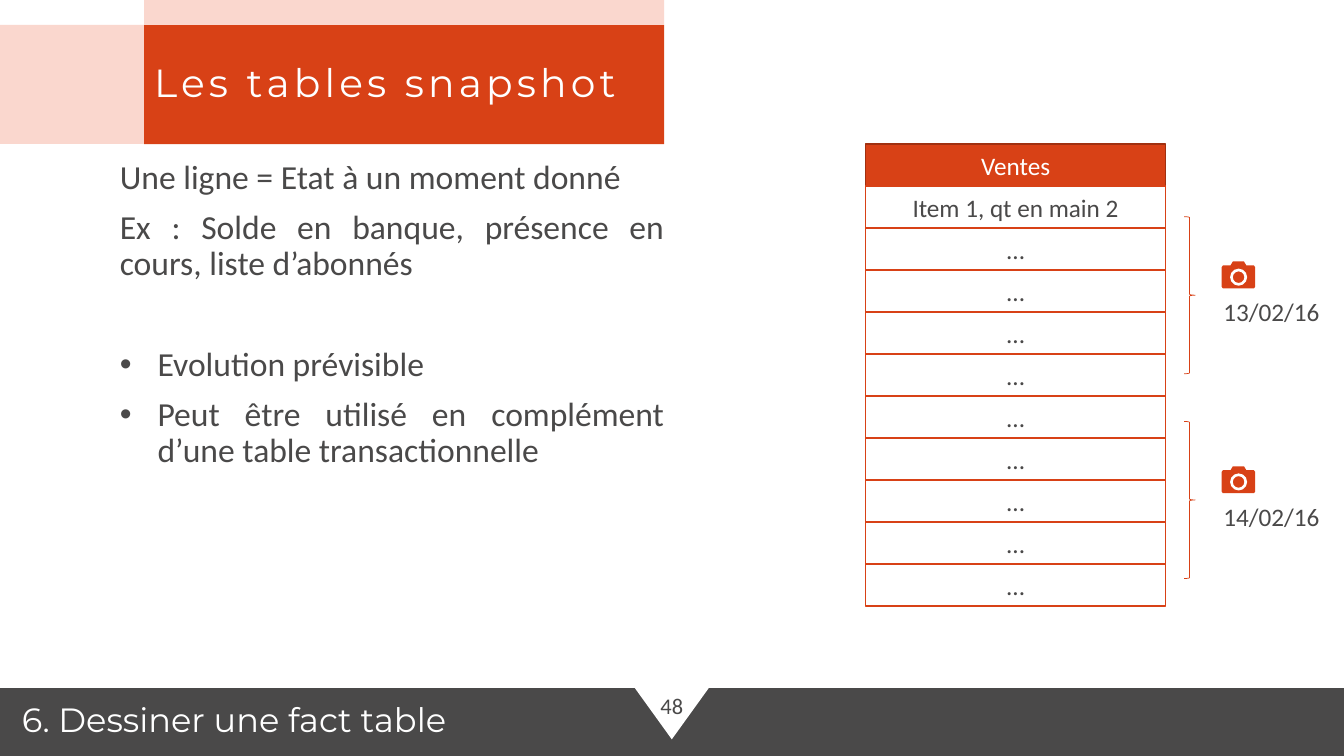
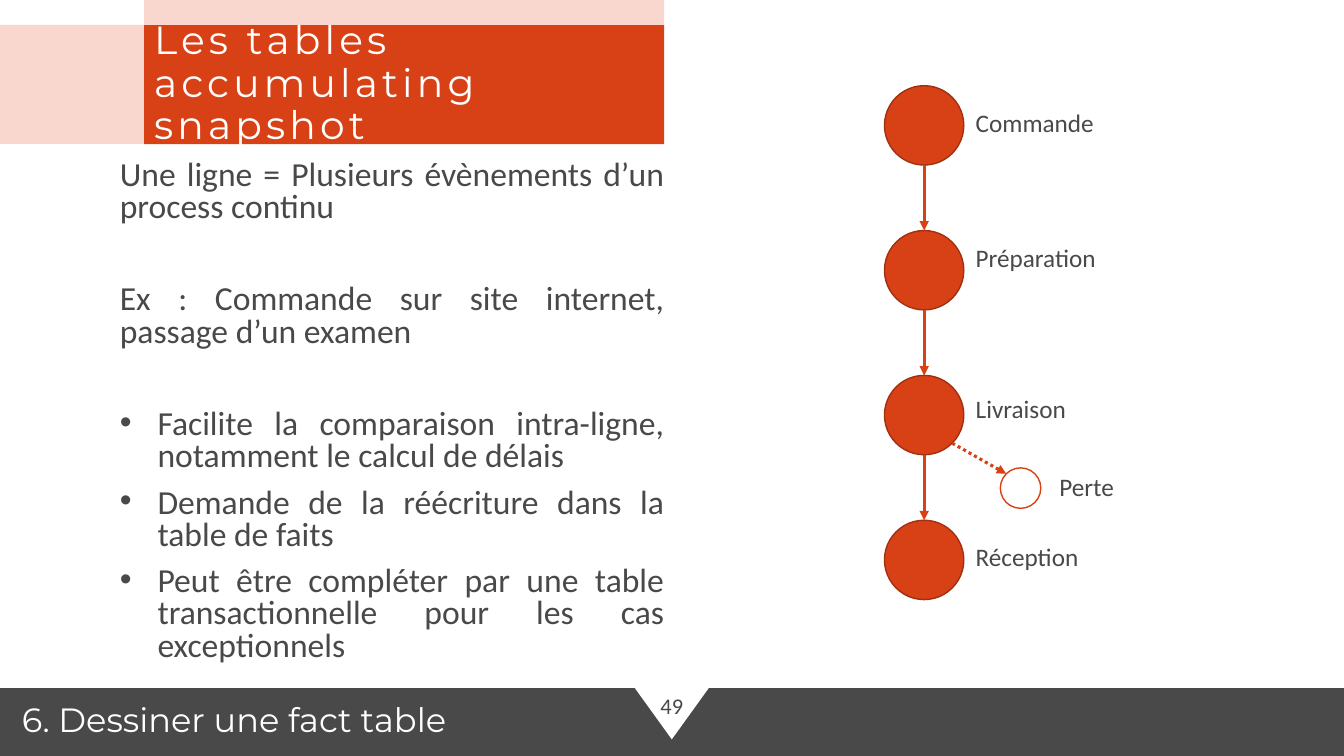
from dataclasses import dataclass
from math import sqrt

from lxml import etree
from pptx import Presentation
from pptx.dml.color import RGBColor
from pptx.enum import dml, shapes, text
from pptx.oxml import ns
from pptx.util import Cm, Pt

SHAPE = shapes.MSO_SHAPE
ALIGN = text.PP_ALIGN
MIDDLE = text.MSO_ANCHOR.MIDDLE


@dataclass(frozen=True)
class Theme:
    accent: str = "D84116"
    edge: str = "A03010"
    pale: str = "FAD7CE"
    dark: str = "4A4949"
    white: str = "FFFFFF"
    head: str = "Montserrat"
    font: str = "Calibri"
    title: int = 28
    body: int = 24
    label: int = 18
    page: int = 16


T = Theme()


def rgb(code):
    return RGBColor.from_string(code)


def sub(node, tag, **attrs):
    """Append a drawing element such as 'a:tailEnd' with its attributes."""
    return etree.SubElement(node, ns.qn(tag), {k: str(v) for k, v in attrs.items()})


def put(para, words, size=T.label, color=T.dark, font=T.font, align=ALIGN.LEFT,
        line=1.0, before=0, indent=0.0, bullet=False, track=0):
    """Write one formatted paragraph; indent is in cm, track in points."""
    props = para._p.get_or_add_pPr()
    props.set("marL", str(Cm(indent)))
    props.set("indent", str(-Cm(indent) if bullet else 0))
    para.alignment = align
    para.line_spacing = line
    para.space_before = Pt(before)
    if bullet:
        sub(props, "a:buFont", typeface="Arial")
        sub(props, "a:buChar", char="•")
    else:
        sub(props, "a:buNone")
    run = para.add_run()
    run.text = words
    run.font.size = Pt(size)
    run.font.name = font
    run.font.color.rgb = rgb(color)
    if track:
        run._r.get_or_add_rPr().set("spc", str(track * 100))


class Deck:
    def __init__(self, theme):
        self.theme = theme
        self.prs = Presentation()
        self.prs.slide_width, self.prs.slide_height = Cm(33.87), Cm(19.05)
        self.slide = None

    def start(self, title, page):
        """Open a slide with the title, bands and footer that all slides share."""
        t = self.theme
        self.slide = self.prs.slides.add_slide(self.prs.slide_layouts[1])
        head = self.slide.shapes.title
        head.fill.solid()
        head.fill.fore_color.rgb = rgb(t.accent)
        frame = self.place(head, 3.63, 0.63, 13.11, 3)
        frame.vertical_anchor = MIDDLE
        put(frame.paragraphs[0], title, size=t.title, color=t.white,
            font=t.head, line=0.9, track=3)
        self.shape(SHAPE.RECTANGLE, 0, 0.63, 3.63, 3, t.pale)
        self.shape(SHAPE.RECTANGLE, 3.63, 0, 13.11, 0.63, t.pale)
        self.shape(SHAPE.RECTANGLE, 0, 17.34, 33.87, 1.71, t.dark)
        notch = self.shape(SHAPE.ISOSCELES_TRIANGLE, 16, 17.34, 1.86, 1.29, t.white)
        notch.rotation = 180
        self.label(str(page), 13.79, 17.35, 6.28, 0.87, size=t.page, align=ALIGN.CENTER)
        self.label("6. Dessiner une fact table", 0, 17.32, 16.74, 1.73, size=t.body,
                   color=t.white, font=t.head, line=0.9, indent=0.3)

    def place(self, holder, x, y, w, h):
        holder.left, holder.top, holder.width, holder.height = map(Cm, (x, y, w, h))
        frame = holder.text_frame
        frame.auto_size = text.MSO_AUTO_SIZE.NONE
        frame.word_wrap = True
        return frame

    def body(self, groups, points, line):
        """Fill the body with text groups, then bullets, a line apart."""
        frame = self.place(self.slide.placeholders[1], 3.02, 3.91, 13.72, 13.41)
        frame.margin_left = frame.margin_right = 0
        frame.vertical_anchor = text.MSO_ANCHOR.TOP
        wide = 20 + self.theme.body * 1.2 * line
        para = frame.paragraphs[0]
        for g, group in enumerate(groups + [points]):
            for i, words in enumerate(group):
                before = 10 if i else wide if g else 0
                if i or g:
                    para = frame.add_paragraph()
                bullet = group is points
                put(para, words, size=self.theme.body, align=ALIGN.JUSTIFY, line=line,
                    before=before, bullet=bullet, indent=0.95 if bullet else 0)

    def label(self, words, x, y, w=3.78, h=1.06, **style):
        frame = self.slide.shapes.add_textbox(*map(Cm, (x, y, w, h))).text_frame
        frame.word_wrap = True
        frame.vertical_anchor = MIDDLE
        put(frame.paragraphs[0], words, **style)

    def paint(self, item, fill=None, line=None, width=1):
        item.shadow.inherit = False
        if fill:
            item.fill.solid()
            item.fill.fore_color.rgb = rgb(fill)
        else:
            item.fill.background()
        if line:
            item.line.color.rgb = rgb(line)
            item.line.width = Pt(width)
        else:
            item.line.fill.background()
        return item

    def shape(self, kind, x, y, w, h, fill=None, line=None, width=1):
        item = self.slide.shapes.add_shape(kind, *map(Cm, (x, y, w, h)))
        return self.paint(item, fill, line, width)

    def arrow(self, x1, y1, x2, y2, dash=None):
        item = self.slide.shapes.add_connector(
            shapes.MSO_CONNECTOR.STRAIGHT, *map(Cm, (x1, y1, x2, y2)))
        item.line.color.rgb = rgb(self.theme.accent)
        item.line.width = Pt(2.25)
        if dash:
            item.line.dash_style = dash
        sub(item.line._get_or_add_ln(), "a:tailEnd", type="triangle")
        sub(item._element.spPr, "a:effectLst")

    def stack(self, rows, x, y, w, h):
        """Pile equal boxes within a height; the first is the header."""
        t = self.theme
        step = h / len(rows)
        for i, words in enumerate(rows):
            fill, edge, ink = ((t.white, t.accent, t.dark) if i else
                               (t.accent, t.edge, t.white))
            box = self.shape(SHAPE.RECTANGLE, x, y + step * i, w, step, fill, edge)
            box.text_frame.vertical_anchor = MIDDLE
            put(box.text_frame.paragraphs[0], words, color=ink, align=ALIGN.CENTER)

    def camera(self, x, y):
        t = self.theme
        outline = [(0.03, 0.1), (0.22, 0.1), (0.28, 0), (0.56, 0), (0.62, 0.1),
                   (0.81, 0.1), (0.84, 0.14), (0.84, 0.64), (0.81, 0.68),
                   (0.03, 0.68), (0, 0.64), (0, 0.14)]
        dots = [(Cm(x + dx), Cm(y + dy)) for dx, dy in outline]
        pen = self.slide.shapes.build_freeform(*dots[0])
        pen.add_line_segments(dots[1:], close=True)
        self.paint(pen.convert_to_shape(), t.accent)
        ring = self.shape(SHAPE.DONUT, x + 0.21, y + 0.18, 0.43, 0.43, t.white)
        ring.adjustments[0] = 0.16


def snapshot(deck):
    deck.start("Les tables snapshot", 48)
    deck.body([["Une ligne = Etat à un moment donné",
                "Ex : Solde en banque, présence en cours, liste d’abonnés"]],
              ["Evolution prévisible",
               "Peut être utilisé en complément d’une table transactionnelle"], 0.9)
    rows = ["Ventes", "Item 1, qt en main 2"] + ["..."] * 9
    deck.stack(rows, 21.82, 3.63, 7.55, 11.64)
    for i, date in enumerate(["13/02/16", "14/02/16"]):
        top = 5.46 + 5.16 * i
        deck.shape(SHAPE.RIGHT_BRACE, 29.84, top, 0.28, 3.96, line=T.accent, width=0.5)
        deck.camera(30.79, top + 1.13)
        deck.label(date, 30.58, top + 1.86, w=3.28)


def process(deck):
    deck.start("Les tables accumulating snapshot", 49)
    deck.body([["Une ligne = Plusieurs évènements d’un process continu"],
               ["Ex : Commande sur site internet, passage d’un examen"]],
              ["Facilite la comparaison intra-ligne, notamment le calcul de délais",
               "Demande de la réécriture dans la table de faits",
               "Peut être compléter par une table transactionnelle pour les cas exceptionnels"],
              0.8)
    left, top, size, step = 22.29, 2.16, 2, 3.65
    mid = left + size / 2
    steps = [("Commande", 2.55), ("Préparation", 5.97),
             ("Livraison", 9.75), ("Réception", 13.49)]
    for i, (name, y) in enumerate(steps):
        cy = top + step * i
        deck.shape(SHAPE.OVAL, left, cy, size, size, T.accent, T.edge)
        deck.label(name, 24.34, y)
        if i:
            deck.arrow(mid, cy - step + size, mid, cy)

    x, y, small = 25.21, 11.79, 1.02
    deck.shape(SHAPE.OVAL, x, y, small, small, T.white, T.accent)
    deck.label("Perte", 26.45, 11.73)
    out = size / 2 / sqrt(2)
    inset = small / 2 * (1 - 1 / sqrt(2))
    deck.arrow(mid + out, top + 2 * step + size / 2 + out, x + inset, y + inset,
               dash=dml.MSO_LINE.ROUND_DOT)


def main():
    deck = Deck(T)
    snapshot(deck)
    process(deck)
    deck.prs.save("out.pptx")


if __name__ == "__main__":
    main()
